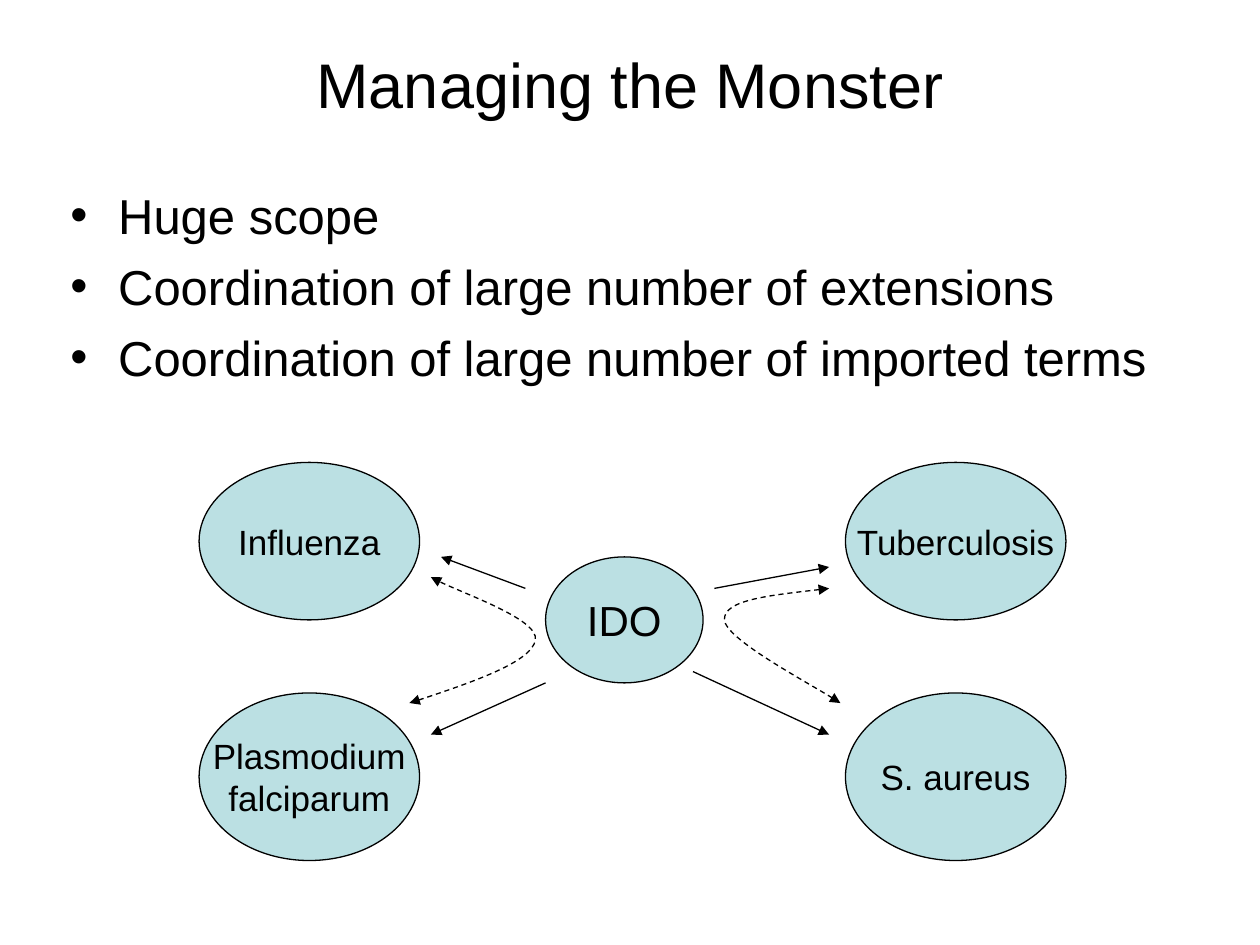
import dataclasses

import pptx
import pptx.dml.color
import pptx.enum.dml
import pptx.enum.shapes
import pptx.enum.text
import pptx.oxml
import pptx.oxml.ns
import pptx.util
from pptx.util import Inches

qn = pptx.oxml.ns.qn
Align = pptx.enum.text.PP_ALIGN
Anchor = pptx.enum.text.MSO_ANCHOR


@dataclasses.dataclass(frozen=True)
class Theme:
    font: str = "Arial"
    ink: str = "000000"
    paper: str = "FFFFFF"
    bubble: str = "BBE0E3"
    title_size: float = 36
    bullet_size: float = 28
    hub_size: float = 24
    node_size: float = 20
    line_width: float = 0.75
    bullet_gap: float = 7


def apply(target, **values):
    for name, value in values.items():
        setattr(target, name, value)


def color(value):
    return pptx.dml.color.RGBColor.from_string(value)


class SlideBuilder:
    """Draws styled elements on the current slide."""

    def __init__(self, page, theme):
        self.page = page
        self.theme = theme
        page.background.fill.solid()
        page.background.fill.fore_color.rgb = color(theme.paper)

    def place(self, shape, bounds):
        names = ("left", "top", "width", "height")
        apply(shape, **dict(zip(names, map(Inches, bounds))))

    def fill_text(self, frame, lines, size, **paragraph_format):
        frame.text = "\n".join(lines)
        for para in frame.paragraphs:
            apply(para, **paragraph_format)
            for span in para.runs:
                apply(span.font, name=self.theme.font, size=pptx.util.Pt(size))
                span.font.color.rgb = color(self.theme.ink)

    def title(self, text, bounds):
        box = self.page.shapes.title
        self.place(box, bounds)
        apply(box.text_frame, word_wrap=True, vertical_anchor=Anchor.MIDDLE)
        self.fill_text(box.text_frame, [text], self.theme.title_size, alignment=Align.CENTER)

    def bullets(self, lines, bounds):
        box = self.page.shapes.add_textbox(*map(Inches, bounds))
        box.text_frame.word_wrap = True
        gap = pptx.util.Pt(self.theme.bullet_gap)
        self.fill_text(box.text_frame, lines, self.theme.bullet_size,
                       alignment=Align.LEFT, space_before=gap)
        indent = Inches(0.38)
        for para in box.text_frame.paragraphs:
            properties = para._p.get_or_add_pPr()
            properties.set("marL", str(indent))
            properties.set("indent", str(-indent))
            properties.append(self.element("a:buFont", typeface=self.theme.font))
            properties.append(self.element("a:buChar", char="•"))

    def element(self, tag, **attributes):
        node = pptx.oxml.parse_xml(f"<{tag} {pptx.oxml.ns.nsdecls('a')}/>")
        for name, value in attributes.items():
            node.set(name, value)
        return node

    def outline(self, shape, heads=(), dashed=False):
        shape.line.width = pptx.util.Pt(self.theme.line_width)
        shape.line.color.rgb = color(self.theme.ink)
        if dashed:
            shape.line.dash_style = pptx.enum.dml.MSO_LINE.DASH
        for head in heads:
            shape.line._get_or_add_ln().append(self.element(head, type="triangle"))

    def ellipse(self, lines, bounds, size):
        oval = pptx.enum.shapes.MSO_SHAPE.OVAL
        shape = self.page.shapes.add_shape(oval, *map(Inches, bounds))
        shape.shadow.inherit = False
        shape.fill.solid()
        shape.fill.fore_color.rgb = color(self.theme.bubble)
        self.outline(shape)
        apply(shape.text_frame, word_wrap=False, vertical_anchor=Anchor.MIDDLE)
        self.fill_text(shape.text_frame, lines, size, alignment=Align.CENTER)

    def arrow(self, start, end):
        straight = pptx.enum.shapes.MSO_CONNECTOR.STRAIGHT
        line = self.page.shapes.add_connector(straight, *map(Inches, start + end))
        self.outline(line, ["a:tailEnd"])
        line._element.spPr.append(self.element("a:effectLst"))

    def curve(self, start, *controls):
        builder = self.page.shapes.build_freeform(*map(Inches, start))
        builder.add_line_segments([tuple(map(Inches, point)) for point in controls], close=False)
        shape = builder.convert_to_shape()
        segments = list(shape._element.iter(qn("a:lnTo")))
        for first in range(0, len(segments), 3):
            bezier = self.element("a:cubicBezTo")
            segments[first].addprevious(bezier)
            for segment in segments[first:first + 3]:
                bezier.append(segment[0])
                segment.getparent().remove(segment)
        shape.shadow.inherit = False
        shape.fill.background()
        self.outline(shape, ["a:headEnd", "a:tailEnd"], dashed=True)


def main():
    deck = pptx.Presentation()
    apply(deck, slide_width=Inches(10), slide_height=Inches(7.5))
    theme = Theme()
    slide = SlideBuilder(deck.slides.add_slide(deck.slide_layouts[5]), theme)

    slide.title("Managing the Monster", (0.75, 0.25, 8.5, 0.83))
    slide.bullets(["Huge scope",
                   "Coordination of large number of extensions",
                   "Coordination of large number of imported terms"],
                  (0.46, 1.42, 9.08, 5.25))

    slide.ellipse(["IDO"], (4.33, 4.42, 1.25, 1), theme.hub_size)
    rows = [(3.67, 1.25, (["Influenza"], ["Tuberculosis"])),
            (5.5, 1.33, (["Plasmodium", "falciparum"], ["S. aureus"]))]
    for top, height, labels in rows:
        for left, label in zip((1.58, 6.71), labels):
            slide.ellipse(label, (left, top, 1.75, height), theme.node_size)

    for start, end in [((5.67, 4.67), (6.58, 4.5)), ((5.5, 5.33), (6.58, 5.83)),
                       ((4.17, 4.67), (3.5, 4.42)), ((4.33, 5.42), (3.42, 5.83))]:
        slide.arrow(start, end)

    slide.curve((3.25, 5.58), (3.74, 5.42), (4.22, 5.25), (4.25, 5.08),
                (4.28, 4.92), (3.56, 4.67), (3.42, 4.58))
    slide.curve((6.58, 4.67), (6.16, 4.72), (5.74, 4.76), (5.75, 4.92),
                (5.76, 5.07), (6.51, 5.47), (6.67, 5.58))
    deck.save("out.pptx")


if __name__ == "__main__":
    main()
